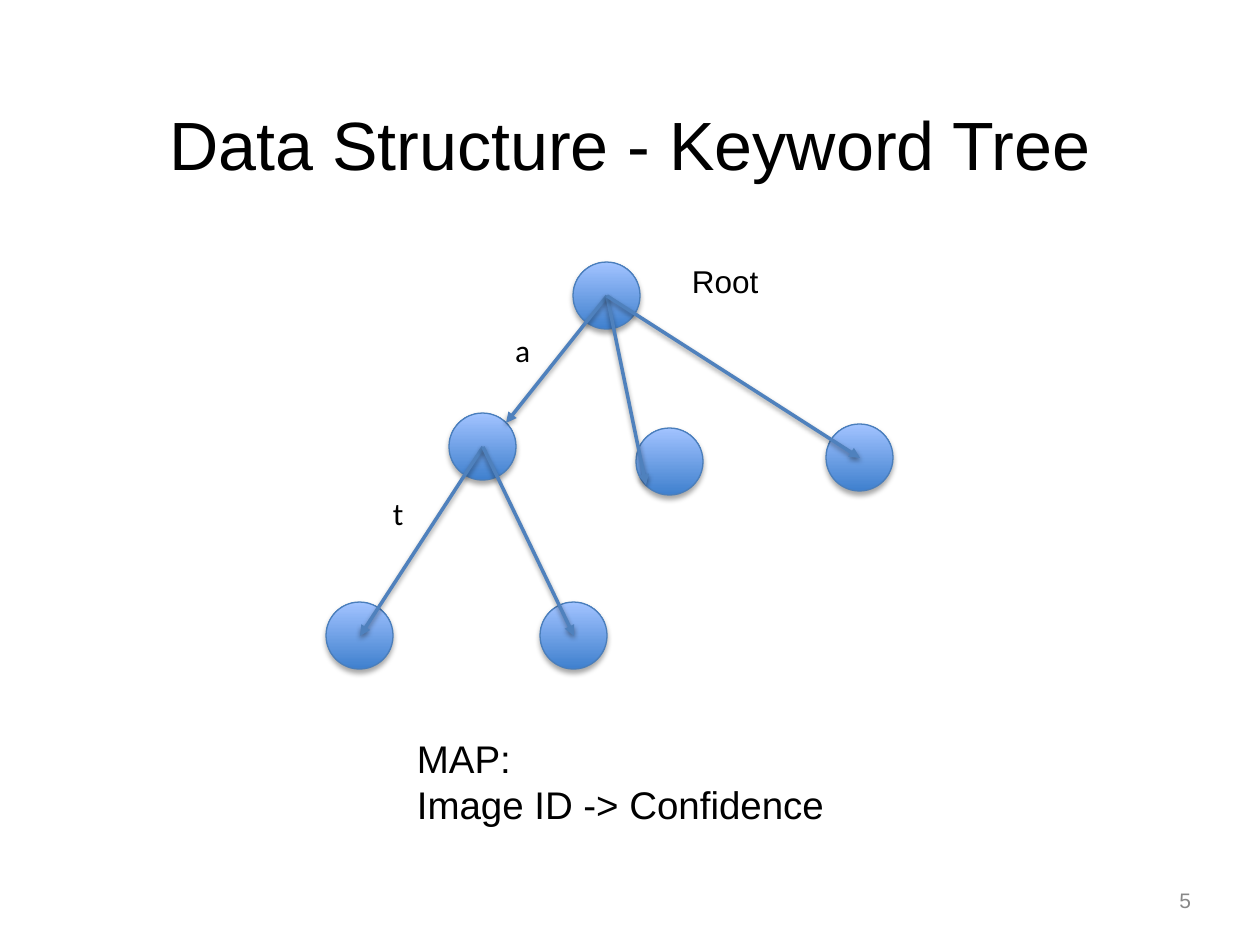
from lxml import etree
from pptx import Presentation
from pptx.dml.color import RGBColor
from pptx.enum.shapes import MSO_CONNECTOR, MSO_SHAPE
from pptx.enum.text import MSO_ANCHOR, PP_ALIGN
from pptx.oxml.ns import qn
from pptx.util import Emu, Pt

OVAL, STRAIGHT = MSO_SHAPE.OVAL, MSO_CONNECTOR.STRAIGHT
TOP, MIDDLE = MSO_ANCHOR.TOP, MSO_ANCHOR.MIDDLE
LEFT, CENTER, RIGHT = PP_ALIGN.LEFT, PP_ALIGN.CENTER, PP_ALIGN.RIGHT
TITLE_ONLY = 5
NODE = 67  # node diameter in px


def px(n):
    return Emu(round(n * 914400 / 126))


def rgb(value):
    return RGBColor.from_string(value)


class TreeSlide:
    font = "Arial"
    text_color = "000000"
    node_stops = ("3F80CE", "A2C3FF")
    node_line = "4A7EBB"
    edge_color = "4F81BD"

    def __init__(self, prs):
        self.s = prs.slides.add_slide(prs.slide_layouts[TITLE_ONLY])
        self.tree = None

    def start_tree(self):
        self.tree = self.s.shapes.add_group_shape()

    def set_text(self, tf, text, size, font=None, color=None, align=LEFT,
                 anchor=TOP, inset=0, wrap=True):
        frame = {"word_wrap": wrap, "vertical_anchor": anchor}
        for side in ("left", "top", "right", "bottom"):
            frame["margin_" + side] = px(inset)
        for name, value in frame.items():
            setattr(tf, name, value)
        for i, line in enumerate(text.split("\n")):
            p = tf.paragraphs[0] if i == 0 else tf.add_paragraph()
            p.alignment = align
            r = p.add_run()
            r.text = line
            for name, value in {"name": font or self.font, "size": Pt(size)}.items():
                setattr(r.font, name, value)
            r.font.color.rgb = rgb(color or self.text_color)

    def title(self, box, text, size):
        sp = self.s.shapes.title
        for name, value in zip(("left", "top", "width", "height"), box):
            setattr(sp, name, px(value))
        self.set_text(sp.text_frame, text, size, align=CENTER, anchor=MIDDLE)

    def text(self, box, text, size, parent=None, **style):
        shapes = (parent or self.s).shapes
        sp = shapes.add_textbox(*map(px, box))
        self.set_text(sp.text_frame, text, size, **style)

    def shadow(self, sp, opacity, distance):
        sp_pr = sp.element.spPr
        effects = etree.SubElement(sp_pr, qn("a:effectLst"))
        outer = etree.SubElement(effects, qn("a:outerShdw"), blurRad=str(Pt(3)),
                                 dist=str(Pt(distance)), dir="5400000", rotWithShape="0")
        color = etree.SubElement(outer, qn("a:srgbClr"), val="000000")
        etree.SubElement(color, qn("a:alpha"), val=str(opacity * 1000))

    def node(self, x, y):
        sp = self.tree.shapes.add_shape(OVAL, px(x), px(y), px(NODE), px(NODE))
        sp.fill.gradient()
        sp.fill.gradient_angle = 90
        for i, (stop, color) in enumerate(zip(sp.fill.gradient_stops, self.node_stops)):
            stop.position = i
            stop.color.rgb = rgb(color)
        sp.line.color.rgb = rgb(self.node_line)
        sp.line.width = Pt(0.75)
        self.shadow(sp, 35, 1.8)

    def edge(self, start, end):
        c = self.tree.shapes.add_connector(STRAIGHT, *map(px, start + end))
        c.line.color.rgb = rgb(self.edge_color)
        c.line.width = Pt(2)
        etree.SubElement(c.element.spPr.find(qn("a:ln")), qn("a:tailEnd"), type="triangle")
        self.shadow(c, 38, 1.6)


def point_on(node, fx=0.5, fy=0.5):
    x, y = node
    return x + round(NODE * fx), y + round(NODE * fy)


def main():
    prs = Presentation()
    prs.slide_width, prs.slide_height = px(1260), px(945)
    slide = TreeSlide(prs)

    # Slide number and title
    slide.text((903, 882, 294, 37), "5", 12, color="888888", align=RIGHT,
               anchor=MIDDLE, inset=6)
    slide.title((63, 64, 1134, 158), "Data Structure - Keyword Tree", 39)

    # Tree nodes, by top left corner
    slide.start_tree()
    nodes = {"root": (573, 262), "a": (449, 413), "middle": (636, 428),
             "right": (826, 424), "at": (326, 602), "a_other": (540, 602)}
    for corner in nodes.values():
        slide.node(*corner)

    # Edges: parent, child, place on the child where the arrow ends
    edges = [("root", "a", (0.85, 0.15)), ("a", "at", ()), ("a", "a_other", ()),
             ("root", "middle", (0.15, 0.85)), ("root", "right", ())]
    for parent, child, place in edges:
        slide.edge(point_on(nodes[parent]), point_on(nodes[child], *place))

    # Tree labels
    for box, label, font in [((692, 262, 127, 78), "Root", "Arial"),
                             ((515, 331, 45, 79), "a", "Calibri"),
                             ((393, 494, 39, 79), "t", "Calibri")]:
        slide.text(box, label, 18, parent=slide.tree, font=font)

    # What a node stores
    slide.text((417, 735, 426, 106), "MAP:\nImage ID -> Confidence", 22, wrap=False)

    prs.save("out.pptx")


if __name__ == "__main__":
    main()
